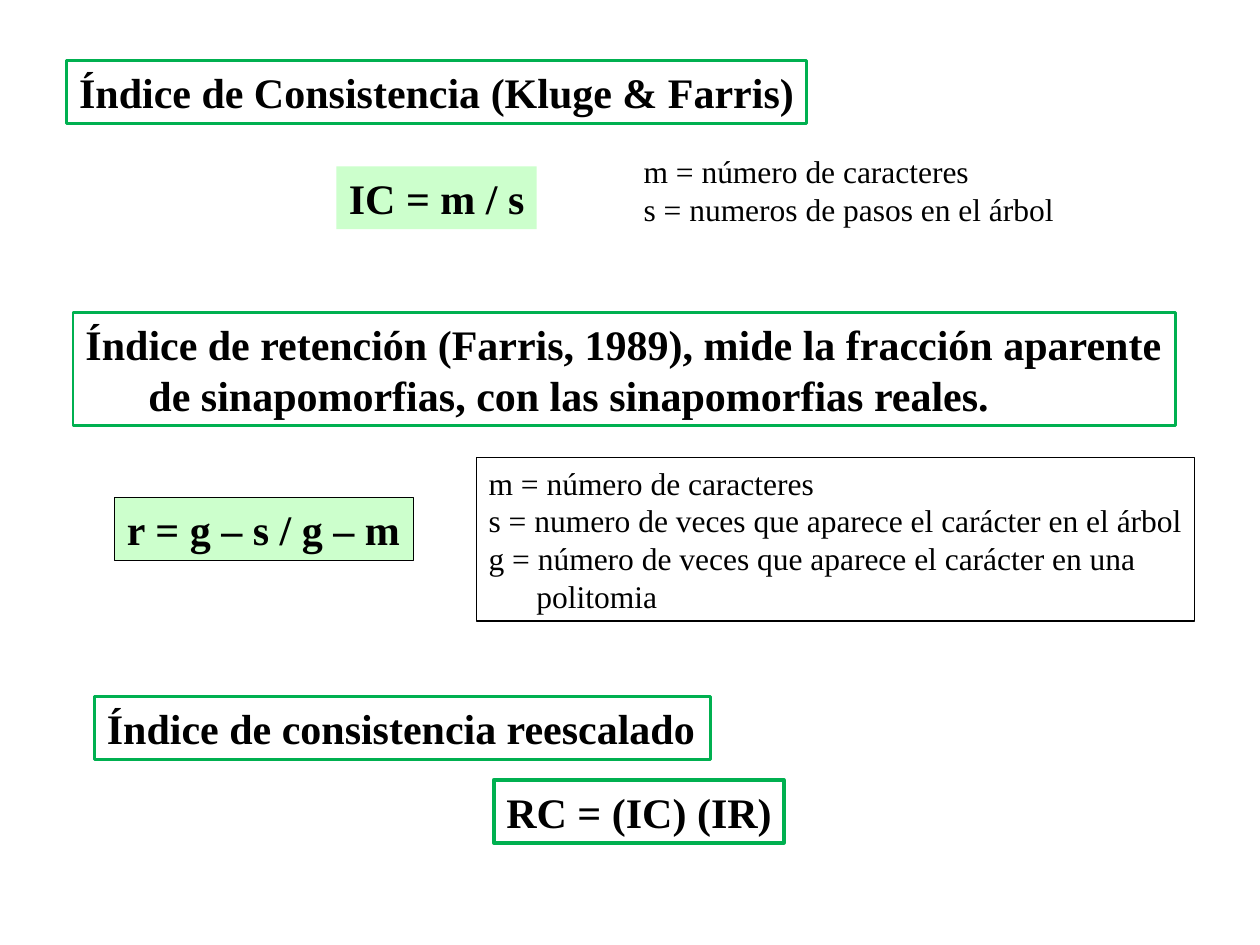
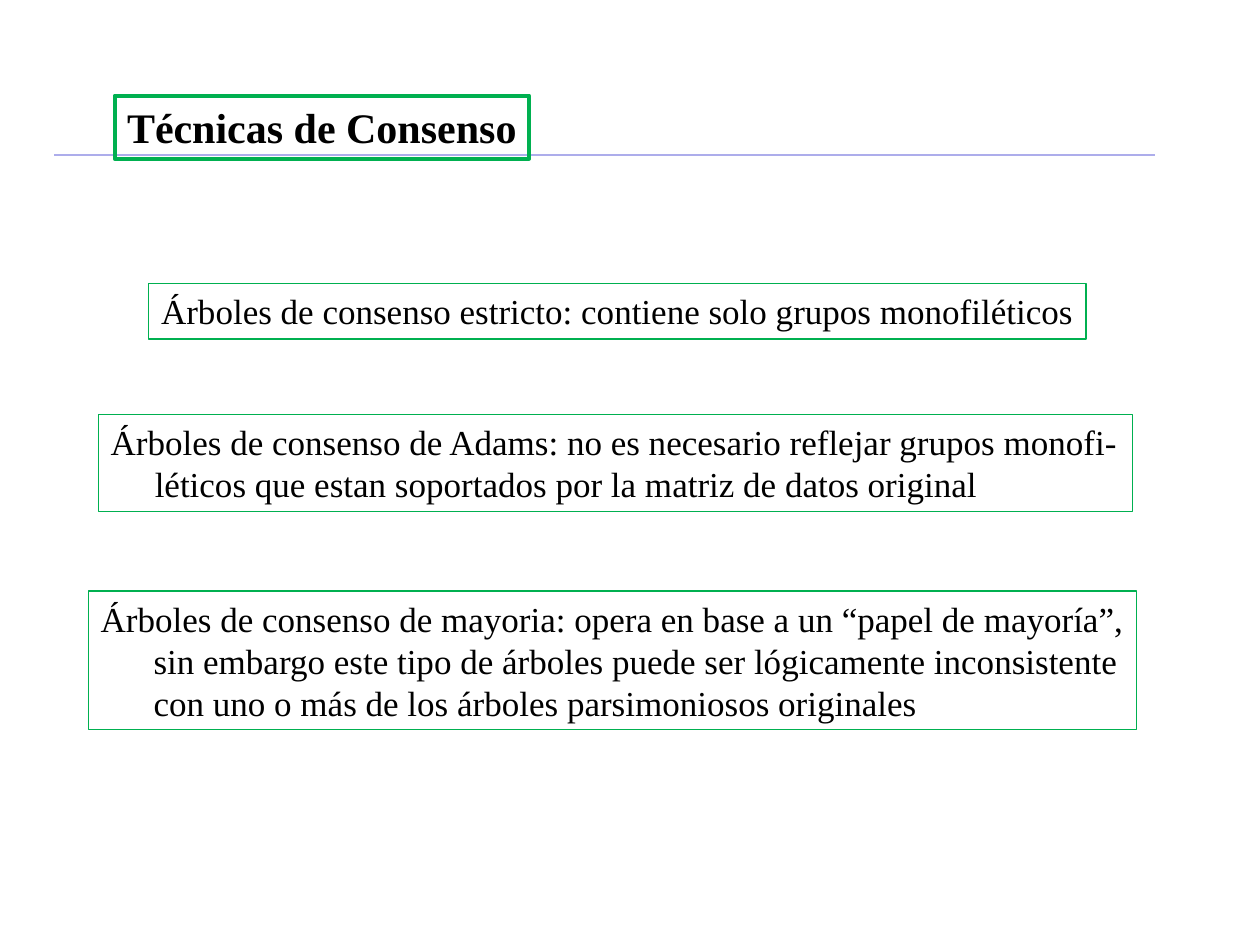
from dataclasses import dataclass
from typing import Optional

from lxml.etree import SubElement
from pptx import Presentation
from pptx.dml.color import RGBColor
from pptx.enum.shapes import MSO_CONNECTOR, MSO_SHAPE
from pptx.enum.text import MSO_ANCHOR, MSO_AUTO_SIZE, PP_ALIGN
from pptx.oxml.ns import qn
from pptx.util import Inches, Pt


@dataclass(frozen=True)
class Theme:
    font: str = "Times New Roman"
    ink: RGBColor = RGBColor(0x00, 0x00, 0x00)
    green: RGBColor = RGBColor(0x00, 0xB0, 0x50)
    mint: RGBColor = RGBColor(0xCC, 0xFF, 0xCC)
    lavender: RGBColor = RGBColor(0xAD, 0xAD, 0xEB)
    heading: int = 24
    body: int = 20
    legend: int = 18
    thin: float = 0.75
    medium: float = 1.5
    thick: float = 2.25


THEME = Theme()


@dataclass(frozen=True)
class Line:
    text: str
    indent: float = 0


@dataclass(frozen=True)
class Box:
    left: float
    top: float
    width: float
    height: float
    lines: tuple[Line, ...]
    size: int = THEME.heading
    border: Optional[RGBColor] = THEME.green
    weight: float = THEME.medium
    fill: Optional[RGBColor] = None
    align: PP_ALIGN = PP_ALIGN.LEFT


INDICES = (
    Box(0.53, 0.48, 5.87, 0.5, (Line("Índice de Consistencia (Kluge & Farris)"),)),
    Box(2.67, 1.32, 1.59, 0.5, (Line("IC = m / s"),), border=None, fill=THEME.mint),
    Box(5.01, 1.16, 3.46, 0.7, (
        Line("m = número de caracteres"),
        Line("s = numeros de pasos en el árbol"),
    ), size=THEME.legend, border=None),
    Box(0.58, 2.48, 8.75, 0.9, (
        Line("Índice de retención (Farris, 1989), mide la fracción aparente"),
        Line("de sinapomorfias, con las sinapomorfias reales.", 0.5),
    )),
    Box(0.91, 3.95, 2.37, 0.5, (Line("r = g – s / g – m"),),
        border=THEME.ink, weight=THEME.thin, fill=THEME.mint),
    Box(3.78, 3.63, 5.7, 1.3, (
        Line("m = número de caracteres"),
        Line("s = numero de veces que aparece el carácter en el árbol"),
        Line("g = número de veces que aparece el carácter en una"),
        Line("politomia", 0.38),
    ), size=THEME.legend, border=THEME.ink, weight=THEME.thin),
    Box(0.75, 5.53, 4.89, 0.5, (Line("Índice de consistencia reescalado"),),
        align=PP_ALIGN.JUSTIFY),
    Box(3.92, 6.19, 2.3, 0.5, (Line("RC = (IC) (IR)"),), weight=THEME.thick),
)

CONSENSUS_TREES = (
    Box(1.18, 2.25, 7.44, 0.44, (
        Line("Árboles de consenso estricto: contiene solo grupos monofiléticos"),
    ), size=THEME.body, weight=THEME.thin),
    Box(0.78, 3.29, 8.21, 0.77, (
        Line("Árboles de consenso de Adams: no es necesario reflejar grupos monofi-"),
        Line("léticos que estan soportados por la matriz de datos original", 0.35),
    ), size=THEME.body, weight=THEME.thin),
    Box(0.7, 4.69, 8.32, 1.1, (
        Line("Árboles de consenso de mayoria: opera en base a un “papel de mayoría”,"),
        Line("sin embargo este tipo de árboles puede ser lógicamente inconsistente", 0.42),
        Line("con uno o más de los árboles parsimoniosos originales", 0.42),
    ), size=THEME.body, weight=THEME.thin),
)

CONSENSUS_TITLE = Box(0.91, 0.76, 3.29, 0.5, (Line("Técnicas de Consenso"),),
                      weight=THEME.thick)


def write(paragraph, text: str, *, size: int, bold: bool = False,
          indent: float = 0, align: PP_ALIGN = PP_ALIGN.LEFT) -> None:
    paragraph.alignment = align
    if indent:
        paragraph._p.get_or_add_pPr().set("marL", str(Inches(indent)))
    run = paragraph.add_run()
    run.text = text
    run.font.name = THEME.font
    run.font.size = Pt(size)
    run.font.bold = bold
    run.font.color.rgb = THEME.ink


def draw_box(slide, box: Box) -> None:
    place = [Inches(v) for v in (box.left, box.top, box.width, box.height)]
    if box.border is None and box.fill is None:
        panel = slide.shapes.add_textbox(*place)
    else:
        panel = slide.shapes.add_shape(MSO_SHAPE.RECTANGLE, *place)
        panel.shadow.inherit = False
        if box.fill is None:
            panel.fill.background()
        else:
            panel.fill.solid()
            panel.fill.fore_color.rgb = box.fill
        if box.border is None:
            panel.line.fill.background()
        else:
            panel.line.color.rgb = box.border
            panel.line.width = Pt(box.weight)
    frame = panel.text_frame
    frame.word_wrap = True
    frame.auto_size = MSO_AUTO_SIZE.NONE
    frame.margin_right = Inches(0)
    frame.vertical_anchor = MSO_ANCHOR.TOP
    for number, line in enumerate(box.lines):
        paragraph = frame.add_paragraph() if number else frame.paragraphs[0]
        write(paragraph, line.text, size=box.size, bold=box.size == THEME.heading,
              indent=line.indent, align=box.align)


def draw_rule(slide, left: float, right: float, top: float) -> None:
    rule = slide.shapes.add_connector(
        MSO_CONNECTOR.STRAIGHT, Inches(left), Inches(top), Inches(right), Inches(top))
    rule.line.color.rgb = THEME.lavender
    rule.line.width = Pt(THEME.thin)
    SubElement(rule._element.spPr, qn("a:effectLst"))


def main() -> None:
    deck = Presentation()
    deck.slide_width, deck.slide_height = Inches(10), Inches(7.5)
    blank = deck.slide_layouts[6]

    indices = deck.slides.add_slide(blank)
    for box in INDICES:
        draw_box(indices, box)

    consensus = deck.slides.add_slide(blank)
    for box in CONSENSUS_TREES:
        draw_box(consensus, box)
    draw_rule(consensus, 0.43, 9.17, 1.23)
    draw_box(consensus, CONSENSUS_TITLE)

    deck.save("out.pptx")


if __name__ == "__main__":
    main()
